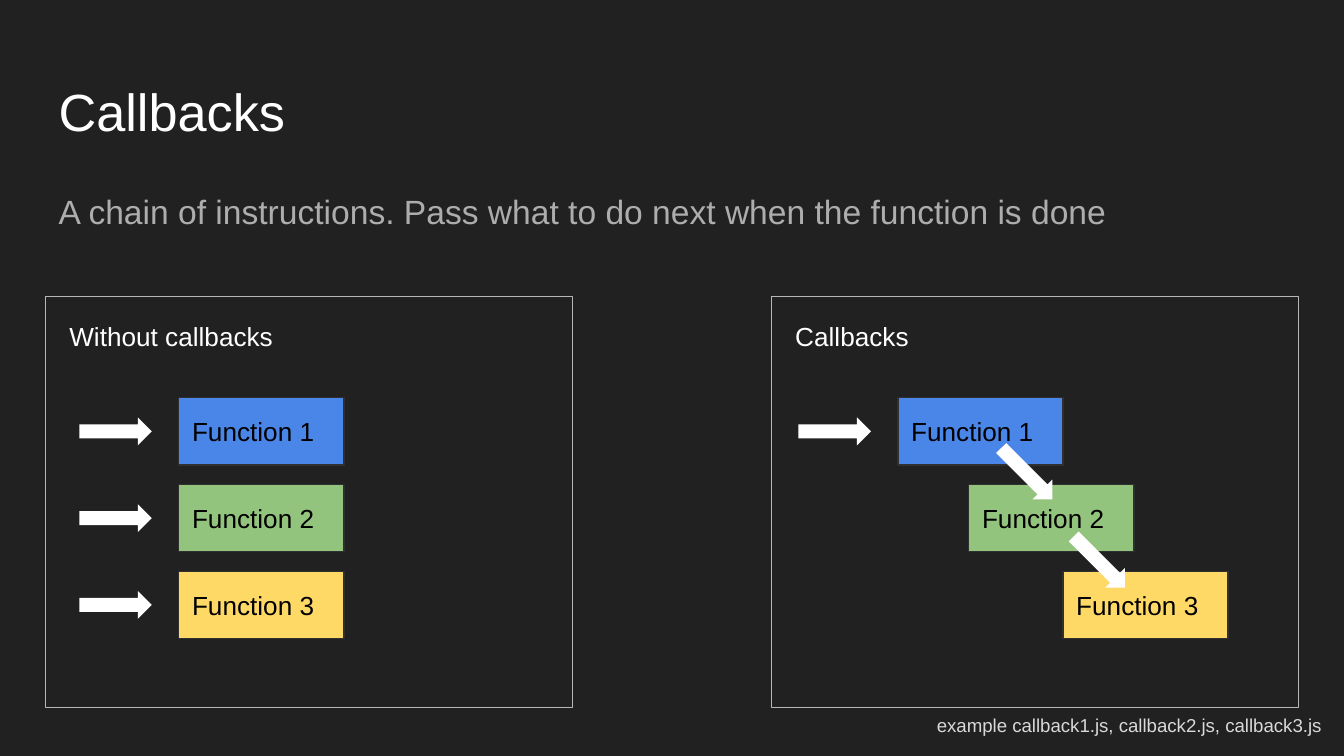
import dataclasses

import pptx
import pptx.dml.color
import pptx.enum.shapes
import pptx.enum.text
import pptx.util

Cm = pptx.util.Cm
Pt = pptx.util.Pt


@dataclasses.dataclass(frozen=True)
class Theme:
    font: str = "Arial"
    background: str = "212121"
    light: str = "FFFFFF"
    dark: str = "000000"
    muted: str = "ADADAD"
    footer: str = "D9D9D9"
    frame: str = "B7B7B7"
    edge: str = "303030"
    functions: tuple = ("4A86E8", "93C47D", "FFD966")
    title_size: int = 28
    body_size: int = 18
    label_size: int = 14
    footer_size: int = 10


theme = Theme()
rgb = pptx.dml.color.RGBColor.from_string
kinds = pptx.enum.shapes.MSO_SHAPE
anchors = pptx.enum.text.MSO_ANCHOR
aligns = pptx.enum.text.PP_ALIGN

deck = pptx.Presentation()
deck.slide_width = Cm(25.4)
deck.slide_height = Cm(14.29)
slide = deck.slides.add_slide(deck.slide_layouts[6])
slide.background.fill.solid()
slide.background.fill.fore_color.rgb = rgb(theme.background)


def write(holder, words, size, color, anchor=anchors.TOP, **paragraph_format):
    frame = holder.text_frame
    frame_format = {"word_wrap": True, "vertical_anchor": anchor}
    for side in ("left", "top", "right", "bottom"):
        frame_format[f"margin_{side}"] = Cm(0.25)
    for key, value in frame_format.items():
        setattr(frame, key, value)
    paragraph = frame.paragraphs[0]
    for key, value in {"alignment": aligns.LEFT, **paragraph_format}.items():
        setattr(paragraph, key, value)
    run = paragraph.add_run()
    run.text = words
    for key, value in {"name": theme.font, "size": Pt(size)}.items():
        setattr(run.font, key, value)
    run.font.color.rgb = rgb(color)


def draw(kind, left, top, width, height, fill=None, line=None):
    shape = slide.shapes.add_shape(kind, Cm(left), Cm(top), Cm(width), Cm(height))
    shape.shadow.inherit = False
    if fill:
        shape.fill.solid()
        shape.fill.fore_color.rgb = rgb(fill)
    else:
        shape.fill.background()
    if line:
        shape.line.color.rgb = rgb(line)
        shape.line.width = Pt(0.75)
    else:
        shape.line.fill.background()
    return shape


panel_top, panel_width, panel_height = 5.61, 9.96, 7.77
box_top, box_step, box_width, box_height = 7.52, 1.64, 3.12, 1.27
arrow_width, arrow_height, arrow_lead = 1.37, 0.53, 1.88

panels = (
    ("Without callbacks", 0.86, (3.38, 3.38, 3.38), 3),
    ("Callbacks", 14.58, (16.97, 18.31, 20.09), 1),
)
chain_arrows = ((18.72, 8.69), (20.09, 10.36))

texts = [
    ("Callbacks", (0.86, 1.24, 23.67, 1.6), theme.title_size, theme.light, {}),
    ("A chain of instructions. Pass what to do next when the function is done",
     (0.86, 3.25, 23.67, 9.5), theme.body_size, theme.muted,
     {"line_spacing": 1.15, "space_after": Pt(16)}),
]
for heading, panel_left, box_lefts, entry_count in panels:
    texts.append((heading, (panel_left + 0.2, panel_top + 0.2, 9.27, 1.35),
                  theme.label_size, theme.light, {}))
texts.append(("example callback1.js, callback2.js, callback3.js",
              (16.81, 13.28, 8.41, 0.89), theme.footer_size, theme.footer,
              {"alignment": aligns.RIGHT}))

for words, place, size, color, paragraph_format in texts:
    box = slide.shapes.add_textbox(*map(Cm, place))
    write(box, words, size, color, **paragraph_format)

for heading, panel_left, box_lefts, entry_count in panels:
    draw(kinds.RECTANGLE, panel_left, panel_top, panel_width, panel_height,
         line=theme.frame)
    for index, (box_left, color) in enumerate(zip(box_lefts, theme.functions)):
        top = box_top + index * box_step
        function = draw(kinds.RECTANGLE, box_left, top, box_width, box_height,
                        color, theme.edge)
        write(function, f"Function {index + 1}", theme.label_size, theme.dark,
              anchors.MIDDLE)
        if index < entry_count:
            draw(kinds.RIGHT_ARROW, box_left - arrow_lead,
                 top + (box_height - arrow_height) / 2,
                 arrow_width, arrow_height, theme.light)

for left, top in chain_arrows:
    chain_arrow = draw(kinds.RIGHT_ARROW, left, top, arrow_width, arrow_height,
                       theme.light)
    chain_arrow.rotation = 45

deck.save("out.pptx")
